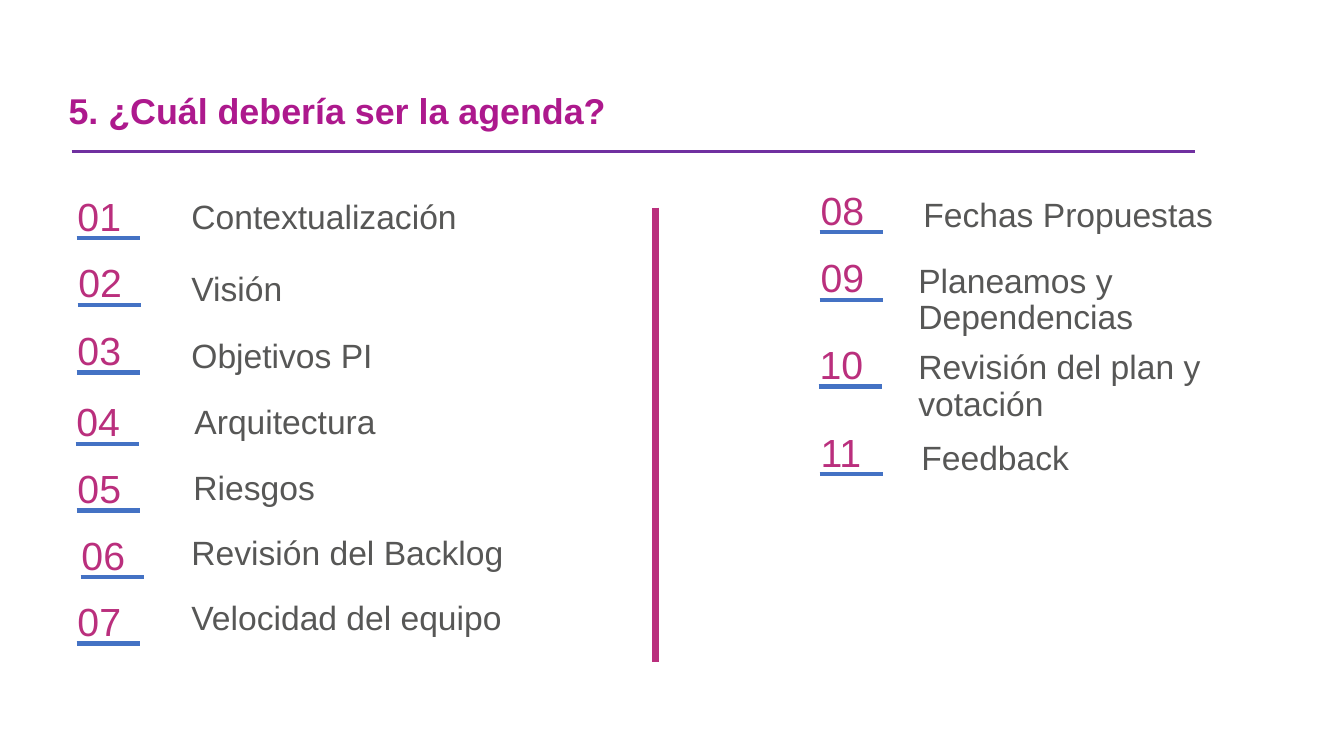
"""Builds the agenda slide: eleven numbered topics in two columns."""
from lxml import etree
from pptx import Presentation
from pptx.dml.color import RGBColor
from pptx.enum.shapes import MSO_CONNECTOR
from pptx.enum.text import MSO_ANCHOR, MSO_AUTO_SIZE, PP_ALIGN
from pptx.oxml.ns import qn
from pptx.util import Inches, Pt

STRAIGHT = MSO_CONNECTOR.STRAIGHT
TOP, MIDDLE = MSO_ANCHOR.TOP, MSO_ANCHOR.MIDDLE
LEFT = PP_ALIGN.LEFT
NO_FIT = MSO_AUTO_SIZE.NONE
COLORS = {
    "title": "AD198D",
    "title_rule": "7030A0",
    "accent": "BA2F7D",
    "number_rule": "4472C4",
    "topic": "575756",
}


def write_text(text, *, box, size, color, bold=False, anchor=TOP):
    frame = box.text_frame
    frame.word_wrap = True
    frame.auto_size = NO_FIT
    frame.vertical_anchor = anchor
    frame.text = text
    paragraph = frame.paragraphs[0]
    paragraph.alignment = LEFT
    paragraph.line_spacing = 0.9
    font = paragraph.runs[0].font
    font.name = "Arial"
    font.size = Pt(size)
    font.bold = bold
    font.color.rgb = RGBColor.from_string(COLORS[color])


def draw_line(shapes, start, end, color, width):
    line = shapes.add_connector(STRAIGHT, *map(Inches, start + end))
    line.line.color.rgb = RGBColor.from_string(COLORS[color])
    line.line.width = Pt(width)
    etree.SubElement(line._element.spPr, qn("a:effectLst"))


prs = Presentation()
prs.slide_width = Inches(13.33)
prs.slide_height = Inches(7.5)
slide = prs.slides.add_slide(prs.slide_layouts[5])

title = slide.shapes.title
title.left, title.top = Inches(0.58), Inches(0.82)
title.width, title.height = Inches(10.33), Inches(0.61)
write_text("5. ¿Cuál debería ser la agenda?", box=title, size=25.6,
           color="title", bold=True, anchor=MIDDLE)
draw_line(slide.shapes, (0.71, 1.5), (11.85, 1.5), "title_rule", 2.25)
draw_line(slide.shapes, (6.5, 2.06), (6.5, 6.57), "accent", 4.5)

# topic, number left and top, topic left, top, width and height
agenda = [
    ("Contextualización", 0.67, 1.91, 1.8, 1.94, 2.93, 0.37),
    ("Visión", 0.68, 2.57, 1.8, 2.65, 1.32, 0.37),
    ("Objetivos PI", 0.67, 3.24, 1.8, 3.32, 2.19, 0.42),
    ("Arquitectura", 0.66, 3.95, 1.83, 3.97, 2.31, 0.46),
    ("Riesgos", 0.67, 4.61, 1.82, 4.63, 2.09, 0.5),
    ("Revisión del Backlog", 0.71, 5.27, 1.8, 5.27, 3.38, 0.46),
    ("Velocidad del equipo", 0.67, 5.93, 1.8, 5.92, 3.42, 0.53),
    ("Fechas Propuestas", 8.04, 1.85, 9.06, 1.92, 3.46, 0.43),
    ("Planeamos y Dependencias", 8.04, 2.52, 9.01, 2.57, 4, 0.85),
    ("Revisión del plan y votación", 8.03, 3.38, 9.01, 3.43, 3.79, 0.72),
    ("Feedback", 8.04, 4.25, 9.04, 4.33, 1.92, 0.47),
]

for number, (topic, x, y, *topic_area) in enumerate(agenda, 1):
    marker = slide.shapes.add_group_shape().shapes
    number_box = marker.add_textbox(*map(Inches, (x, y, 0.71, 0.37)))
    write_text(f"{number:02}", box=number_box, size=28, color="accent")
    rule_y = y + 0.455
    draw_line(marker, (x + 0.09, rule_y), (x + 0.72, rule_y), "number_rule", 3)
    topic_box = slide.shapes.add_textbox(*map(Inches, topic_area))
    write_text(topic, box=topic_box, size=24, color="topic")

prs.save("out.pptx")
